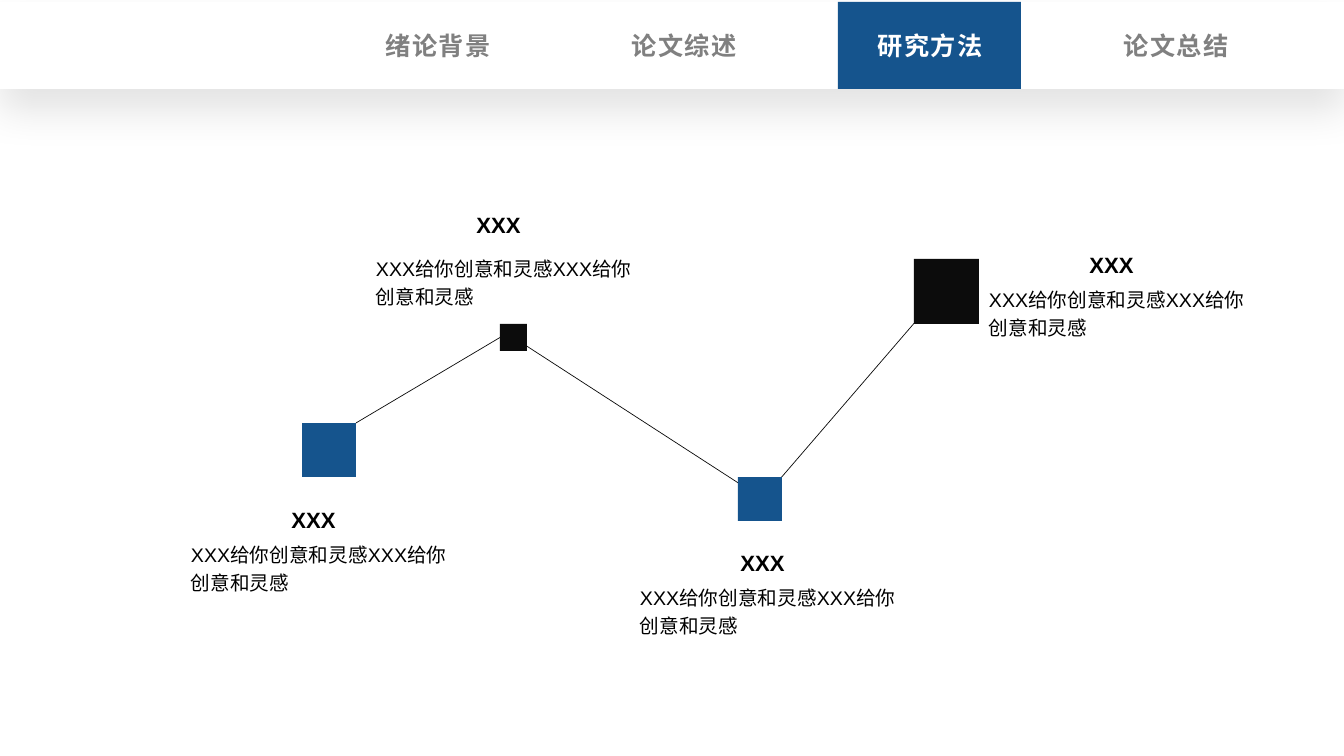
"""Build the research method slide: a navigation bar above a zigzag of four steps."""
import lxml.etree
import pptx
import pptx.dml.color
import pptx.enum.shapes
import pptx.enum.text
import pptx.oxml.ns
import pptx.util

EMU_PER_PX = 914400 / 100.8
BLUE, BLACK, INK, GRAY, WHITE = "15548D", "0C0C0C", "000000", "808080", "FFFFFF"
CENTER = pptx.enum.text.PP_ALIGN.CENTER

TABS = ["绪论背景", "论文综述", "研究方法", "论文总结"]
ACTIVE_TAB = 2
TAB_LEFT, TAB_PITCH = 374, 246
BAR_TOP, BAR_HEIGHT = 2, 87
HEADING = "XXX"
BODY = "XXX给你创意和灵感XXX给你创意和灵感"
STEPS = [
    {"square": (302, 423, 54), "color": BLUE, "body": (181, 533), "rise": 32},
    {"square": (500, 324, 27), "color": BLACK, "body": (366, 247), "rise": 41},
    {"square": (738, 477, 44), "color": BLUE, "body": (630, 576), "rise": 32},
    {"square": (914, 259, 65), "color": BLACK, "body": (979, 278), "rise": 32},
]
LINKS = [(356, 423, 500, 338), (522, 343, 743, 486), (774, 486, 929, 306)]


def px(*lengths):
    return [pptx.util.Emu(round(length * EMU_PER_PX)) for length in lengths]


def rgb(color):
    return pptx.dml.color.RGBColor.from_string(color)


def add_effect(parent, tag, **attributes):
    return lxml.etree.SubElement(parent, pptx.oxml.ns.qn(tag), attributes)


def add_rectangle(slide, left, top, width, height, color):
    shape = slide.shapes.add_shape(pptx.enum.shapes.MSO_SHAPE.RECTANGLE, *px(left, top, width, height))
    shape.shadow.inherit = False
    shape.fill.solid()
    shape.fill.fore_color.rgb = rgb(color)
    shape.line.fill.background()
    return shape


def add_link(slide, start_x, start_y, end_x, end_y):
    link = slide.shapes.add_connector(
        pptx.enum.shapes.MSO_CONNECTOR.STRAIGHT, *px(start_x, start_y, end_x, end_y))
    link.line.color.rgb = rgb(BLACK)
    link.line.width = pptx.util.Pt(0.5)
    add_effect(link._element.spPr, "a:effectLst")
    return link


def write(shape, text, size, color=INK, bold=False, align=None, line_spacing=1.0,
          spacing=0, wrap=True, insets=(10, 5)):
    frame = shape.text_frame
    frame.word_wrap = wrap
    frame.auto_size = pptx.enum.text.MSO_AUTO_SIZE.NONE
    frame.vertical_anchor = pptx.enum.text.MSO_ANCHOR.TOP
    frame.margin_left, frame.margin_top = frame.margin_right, frame.margin_bottom = px(*insets)
    paragraph = frame.paragraphs[0]
    paragraph.alignment = align
    paragraph.line_spacing = line_spacing
    paragraph.space_before = pptx.util.Pt(0)
    run = paragraph.add_run()
    run.text = text
    run.font.name = "Arial"
    run.font.size = pptx.util.Pt(size)
    run.font.bold = bold
    run.font.color.rgb = rgb(color)
    if spacing:
        run.font._element.set("spc", str(spacing * 100))


def add_steps(slide):
    links = [add_link(slide, *ends) for ends in LINKS]
    squares = []
    for step in STEPS:
        left, top, side = step["square"]
        squares.append(add_rectangle(slide, left, top, side, side, step["color"]))
    links[0].end_connect(squares[1], 1)
    for step in STEPS:
        left, top = step["body"]
        body = slide.shapes.add_textbox(*px(left, top, 284, 67))
        write(body, BODY, 14, line_spacing=1.2)
        heading = slide.shapes.add_textbox(*px(left + 42, top - step["rise"], 181, 30))
        write(heading, HEADING, 15.8, bold=True, align=CENTER, line_spacing=1.2, insets=(0, 0))


def add_navigation(slide):
    bar = add_rectangle(slide, 0, BAR_TOP, 1344, BAR_HEIGHT, WHITE)
    effects = bar._element.spPr.find(pptx.oxml.ns.qn("a:effectLst"))
    shadow = add_effect(effects, "a:outerShdw", blurRad=str(pptx.util.Pt(28)),
                        dist=str(pptx.util.Pt(15)), dir="5400000", algn="t", rotWithShape="0")
    add_effect(add_effect(shadow, "a:srgbClr", val=INK), "a:alpha", val="11000")
    add_rectangle(slide, 838, BAR_TOP, 183, BAR_HEIGHT, BLUE)
    for index, name in enumerate(TABS):
        place = px(TAB_LEFT + index * TAB_PITCH, 25, 128, 40)
        active = index == ACTIVE_TAB
        if active:
            label = slide.shapes.title
            label.left, label.top, label.width, label.height = place
            label._element.getparent().append(label._element)
        else:
            label = slide.shapes.add_textbox(*place)
        write(label, name, 18, color=WHITE if active else GRAY, bold=True,
              align=CENTER, spacing=1, wrap=False)


def main():
    presentation = pptx.Presentation()
    presentation.slide_width, presentation.slide_height = px(1344, 756)
    slide = presentation.slides.add_slide(presentation.slide_layouts[5])
    slide.background.fill.solid()
    slide.background.fill.fore_color.rgb = rgb(WHITE)
    add_steps(slide)
    add_navigation(slide)
    presentation.save("out.pptx")


if __name__ == "__main__":
    main()
